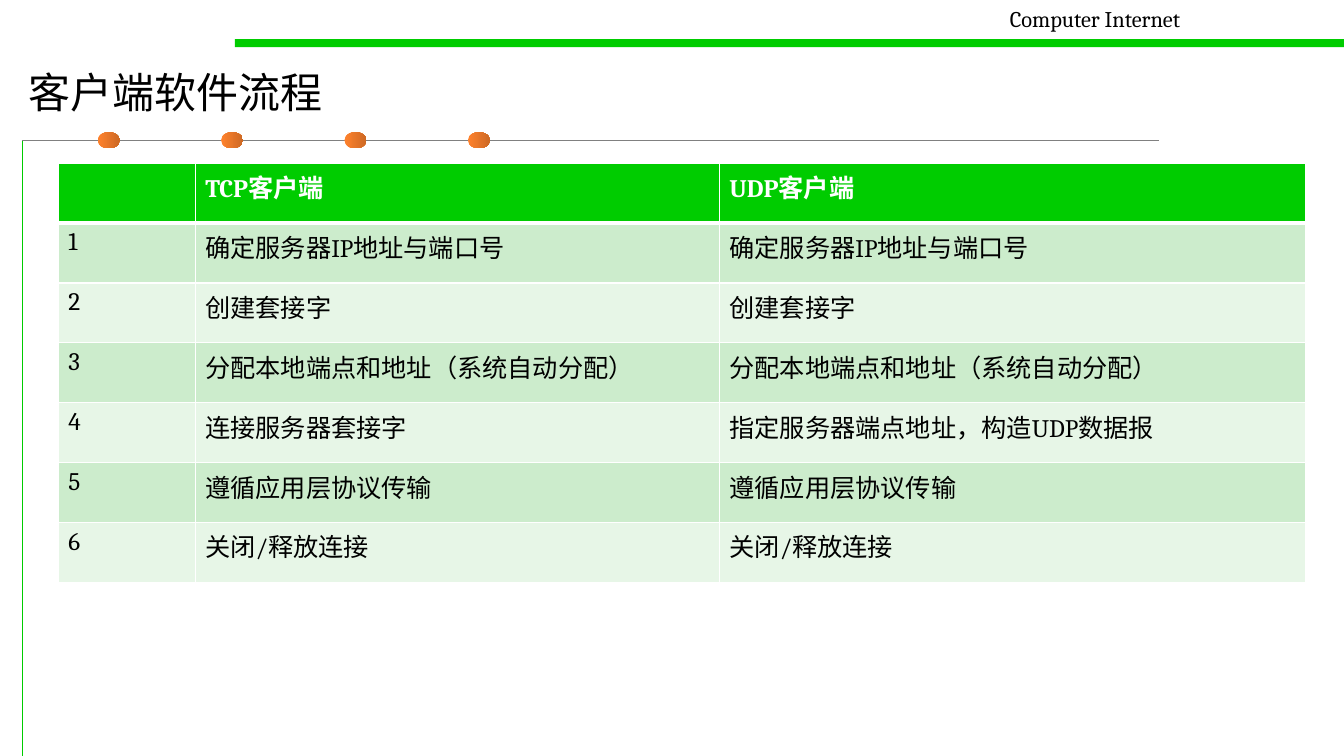
import dataclasses

import lxml.etree
import pptx
import pptx.dml.color
import pptx.enum.shapes
import pptx.enum.text
import pptx.oxml.ns
import pptx.util

Cm, Pt = pptx.util.Cm, pptx.util.Pt
RGB = pptx.dml.color.RGBColor.from_string
SHAPE = pptx.enum.shapes.MSO_SHAPE
qn = pptx.oxml.ns.qn


@dataclasses.dataclass(frozen=True)
class Theme:
    """Colours, font and type sizes of the slide."""
    font: str = "Cambria"
    green: str = "00CC00"
    grey: str = "808080"
    white: str = "FFFFFF"
    text: str = "000000"
    bands: tuple = ("CCECCC", "E7F6E7")
    bead: tuple = ("FF822D", "CD6924")
    title_size: int = 30
    label_size: int = 16
    table_size: int = 18


class SlideBuilder:
    """Holds the theme and the current slide."""

    def __init__(self, s, theme):
        """Keep the slide and its style."""
        self.s, self.theme = s, theme

    def style(self, p, size, color=None, bold=False):
        """Set the font of a whole paragraph."""
        f = p.font
        f.name, f.size, f.bold = self.theme.font, Pt(size), bold
        f.color.rgb = RGB(color or self.theme.text)

    def title(self, text, left, top, width, height):
        """Fill and place the title placeholder."""
        sp = self.s.shapes.title
        sp.left, sp.top, sp.width, sp.height = map(Cm, (left, top, width, height))
        tf = sp.text_frame
        tf.text = text
        tf.auto_size = pptx.enum.text.MSO_AUTO_SIZE.NONE
        tf.vertical_anchor = pptx.enum.text.MSO_ANCHOR.MIDDLE
        p = tf.paragraphs[0]
        p.alignment = pptx.enum.text.PP_ALIGN.LEFT
        self.style(p, self.theme.title_size)

    def label(self, text, left, top, width, height):
        """Add a one-line text box."""
        tf = self.s.shapes.add_textbox(*map(Cm, (left, top, width, height))).text_frame
        tf.word_wrap = False
        tf.auto_size = pptx.enum.text.MSO_AUTO_SIZE.SHAPE_TO_FIT_TEXT
        tf.text = text
        self.style(tf.paragraphs[0], self.theme.label_size)

    def shape(self, kind, left, top, width, height, *colors):
        """Add an unlined shape with a solid or a two-colour gradient fill."""
        sp = self.s.shapes.add_shape(kind, *map(Cm, (left, top, width, height)))
        sp.shadow.inherit = False
        sp.line.fill.background()
        if len(colors) == 1:
            sp.fill.solid()
            sp.fill.fore_color.rgb = RGB(colors[0])
            return
        sp.fill.gradient()
        sp.fill.gradient_angle = 0
        for position, (stop, color) in enumerate(zip(sp.fill.gradient_stops, colors)):
            stop.position = position
            stop.color.rgb = RGB(color)

    def outline(self, points, color):
        """Add an open, unfilled outline through the points."""
        start, *rest = [(Cm(x), Cm(y)) for x, y in points]
        builder = self.s.shapes.build_freeform(*start)
        builder.add_line_segments(rest, close=False)
        sp = builder.convert_to_shape()
        sp.shadow.inherit = False
        sp.fill.background()
        sp.line.color.rgb, sp.line.width = RGB(color), Pt(0.75)

    def rule(self, x1, y1, x2, y2, color):
        """Add a thin straight line."""
        line = self.s.shapes.add_connector(
            pptx.enum.shapes.MSO_CONNECTOR.STRAIGHT, *map(Cm, (x1, y1, x2, y2)))
        line.line.color.rgb, line.line.width = RGB(color), Pt(0.75)
        lxml.etree.SubElement(line._element.spPr, qn("a:effectLst"))

    def borders(self, cell, **widths):
        """Give a cell white borders, 1 pt unless a side says otherwise."""
        tc_pr = cell._tc.get_or_add_tcPr()
        for side in "LRTB":
            ln = lxml.etree.SubElement(tc_pr, qn("a:ln" + side),
                                       w=str(Pt(widths.get(side, 1))))
            fill = lxml.etree.SubElement(ln, qn("a:solidFill"))
            lxml.etree.SubElement(fill, qn("a:srgbClr"), val=self.theme.white)

    def table(self, rows, left, top, col_widths, row_height):
        """Add a table with a green header and banded rows."""
        t = self.theme
        table = self.s.shapes.add_table(
            len(rows), len(col_widths), Cm(left), Cm(top),
            Cm(sum(col_widths)), Cm(row_height * len(rows))).table
        table.first_row = table.horz_banding = False
        for column, width in zip(table.columns, col_widths):
            column.width = Cm(width)
        for i, row in enumerate(rows):
            table.rows[i].height = Cm(row_height)
            header = i == 0
            edges = {0: {"B": 3}, 1: {"T": 3}}.get(i, {})
            for j, text in enumerate(row):
                cell = table.cell(i, j)
                self.borders(cell, **edges)
                cell.fill.solid()
                cell.fill.fore_color.rgb = RGB(t.green if header else t.bands[(i - 1) % 2])
                cell.text = text
                self.style(cell.text_frame.paragraphs[0], t.table_size,
                           t.white if header else t.text, header)


def main():
    """Build and save the slide."""
    prs = pptx.Presentation()
    prs.slide_width, prs.slide_height = Cm(33.87), Cm(19.05)
    theme = Theme()
    b = SlideBuilder(prs.slides.add_slide(prs.slide_layouts[5]), theme)

    left, right, rule_y = 0.56, 29.21, 3.53
    b.outline([(left, 19.05), (left, rule_y), (right, rule_y)], theme.green)
    b.rule(left, rule_y, right, rule_y, theme.grey)
    for i in range(4):
        b.shape(SHAPE.OVAL, 2.46 + 3.11 * i, 3.33, 0.56, 0.41, *theme.bead)
    b.shape(SHAPE.RECTANGLE, 5.92, 0.99, 27.95, 0.2, theme.green)
    b.label("Computer Internet", 25.2, 0, 5.26, 0.94)
    b.title("客户端软件流程", 0.46, 1.42, 31.47, 1.8)

    steps = [
        ("确定服务器IP地址与端口号",) * 2,
        ("创建套接字",) * 2,
        ("分配本地端点和地址（系统自动分配）",) * 2,
        ("连接服务器套接字", "指定服务器端点地址，构造UDP数据报"),
        ("遵循应用层协议传输",) * 2,
        ("关闭/释放连接",) * 2,
    ]
    rows = [("", "TCP客户端", "UDP客户端")]
    rows += [(str(n), *step) for n, step in enumerate(steps, 1)]
    b.table(rows, 1.47, 4.11, (3.45, 13.21, 14.78), 1.51)
    prs.save("out.pptx")


main()
